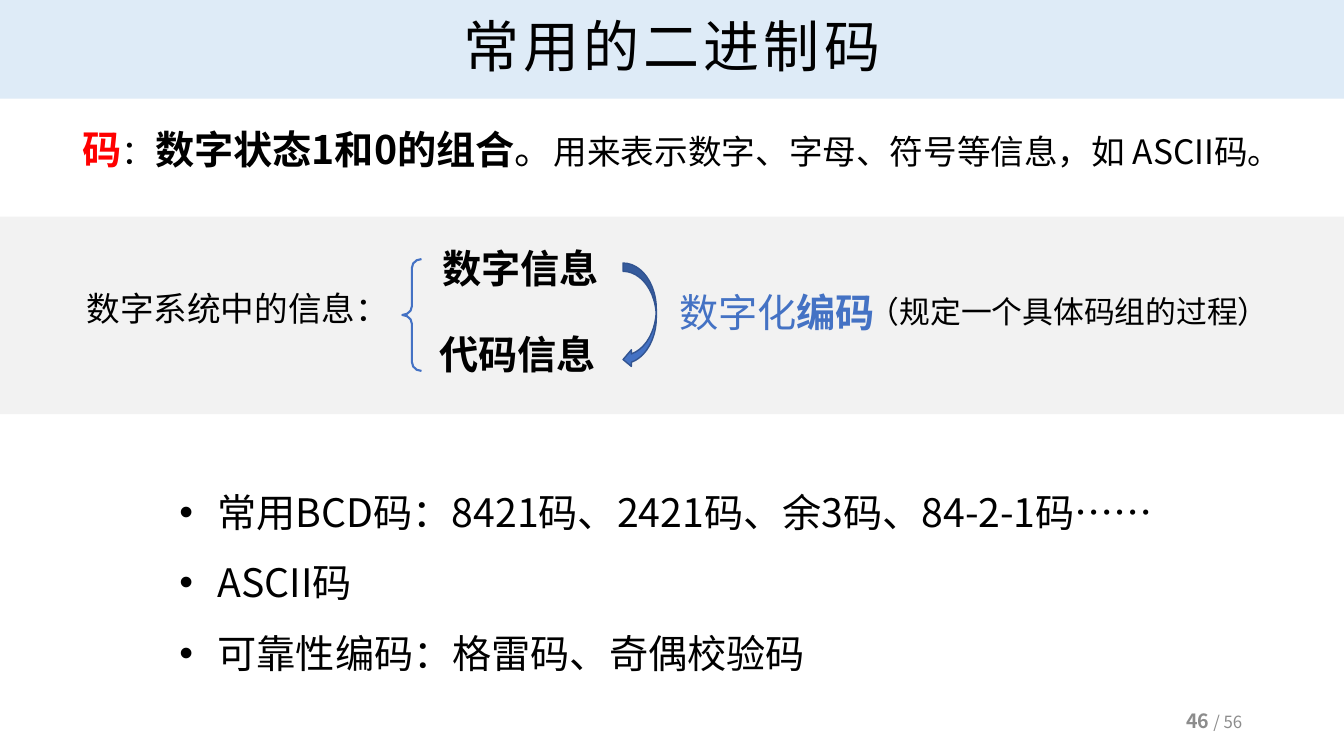
import pptx
import pptx.util
import pptx.dml.color
import pptx.enum.shapes
import pptx.enum.text
from lxml import etree

SHAPE = pptx.enum.shapes.MSO_SHAPE
ALIGN = pptx.enum.text.PP_ALIGN
ANCHOR = pptx.enum.text.MSO_ANCHOR
WIDTH, HEIGHT = 13.33, 7.5

THEME = {
    "font": "Noto Sans CJK SC",
    "black": "000000", "red": "FF0000", "blue": "4472C4", "navy": "325491",
    "gray": "8C8C8C", "title_band": "DEEBF7", "info_band": "F2F2F2",
    "title": 40, "large": 28, "body": 24, "note": 22, "page": 14, "total": 12,
}

# Each run: text, size, colour, bold
TITLE = [[("常用的二进制码", "title", "black", False)]]
DEFINITION = [[
    ("码", "large", "red", True),
    ("：", "body", "black", False),
    ("数字状态1和0的组合", "large", "black", True),
    ("。", "large", "black", False),
    ("用来表示数字、字母、符号等信息，如 ASCII码。", "body", "black", False),
]]
# Labels on the grey band: left, top, width, height, runs
INFO_LABELS = [
    (0.76, 2.81, 3.23, 0.5, [("数字系统中的信息：", "body", "black", False)]),
    (4.29, 2.37, 1.77, 0.57, [("数字信息", "large", "black", True)]),
    (4.26, 3.23, 1.77, 0.57, [("代码信息", "large", "black", True)]),
    (6.64, 2.81, 2.17, 0.57, [("数字化", "large", "blue", False),
                              ("编码", "large", "blue", True)]),
    (8.52, 2.86, 4.21, 0.47, [("（规定一个具体码组的过程）", "note", "black", False)]),
]
CODES = [
    [(text, "large", "black", False)] for text in (
        "常用BCD码：8421码、2421码、余3码、84-2-1码……",
        "ASCII码",
        "可靠性编码：格雷码、奇偶校验码",
    )
]
PAGE = [[("46", "page", "gray", True), (" / 56", "total", "gray", False)]]


def color(name):
    return pptx.dml.color.RGBColor.from_string(THEME[name])


def sub(parent, tag, **attrs):
    return etree.SubElement(parent, pptx.oxml.ns.qn(tag), attrs)


def add_bullet(p, indent=0.38):
    pPr = p._p.get_or_add_pPr()
    emu = pptx.util.Inches(indent)
    pPr.set("marL", str(emu))
    pPr.set("indent", str(-emu))
    sub(pPr, "a:buFont", typeface="Arial")
    sub(pPr, "a:buChar", char="•")


def write(sp, paragraphs, wrap=True, anchor=ANCHOR.TOP, align=ALIGN.LEFT,
          line_spacing=None, tracking=None, bullets=False):
    tf = sp.text_frame
    tf.word_wrap = wrap
    tf.vertical_anchor = anchor
    for i, runs in enumerate(paragraphs):
        p = tf.paragraphs[0] if i == 0 else tf.add_paragraph()
        if bullets:
            add_bullet(p)
        p.alignment = align
        if line_spacing:
            p.line_spacing = line_spacing
        for text, size, ink, bold in runs:
            r = p.add_run()
            r.text = text
            r.font.size = pptx.util.Pt(THEME[size])
            r.font.bold = bold
            r.font.color.rgb = color(ink)
            r.font.name = THEME["font"]
            rPr = r._r.get_or_add_rPr()
            sub(rPr, "a:ea", typeface=THEME["font"])
            if tracking:
                rPr.set("spc", str(tracking * 100))


def add_text(s, box, paragraphs, **layout):
    sp = s.shapes.add_textbox(*map(pptx.util.Inches, box))
    write(sp, paragraphs, **layout)


def add_shape(s, kind, box, fill=None, line=None, line_width=1):
    sp = s.shapes.add_shape(kind, *map(pptx.util.Inches, box))
    sp.shadow.inherit = False
    if fill:
        sp.fill.solid()
        sp.fill.fore_color.rgb = color(fill)
    else:
        sp.fill.background()
    if line:
        sp.line.color.rgb = color(line)
        sp.line.width = pptx.util.Pt(line_width)
    else:
        sp.line.fill.background()
    return sp


def main():
    prs = pptx.Presentation()
    prs.slide_width = pptx.util.Inches(WIDTH)
    prs.slide_height = pptx.util.Inches(HEIGHT)
    s = prs.slides.add_slide(prs.slide_layouts[6])

    add_shape(s, SHAPE.RECTANGLE, (0, 2.15, WIDTH, 1.96), "info_band")
    title = add_shape(s, SHAPE.RECTANGLE, (0, 0, WIDTH, 0.98), "title_band")
    write(title, TITLE, anchor=ANCHOR.MIDDLE, align=ALIGN.CENTER,
          line_spacing=0.9, tracking=3)
    add_text(s, (0.72, 1.19, 11.9, 0.57), DEFINITION)

    for *box, runs in INFO_LABELS:
        add_text(s, box, [runs], wrap=False)
    add_shape(s, SHAPE.CURVED_LEFT_ARROW, (6.18, 2.61, 0.33, 1.04),
              "blue", "navy")
    brace = add_shape(s, SHAPE.LEFT_BRACE, (3.99, 2.57, 0.19, 1.11),
                      line="blue", line_width=1.5)
    brace.adjustments[0] = 0.46

    add_text(s, (1.68, 4.56, 10.15, 2.15), CODES, line_spacing=1.5, bullets=True)
    add_text(s, (9.42, 6.95, 3, 0.4), PAGE, anchor=ANCHOR.MIDDLE, align=ALIGN.RIGHT)
    prs.save("out.pptx")


if __name__ == "__main__":
    main()
